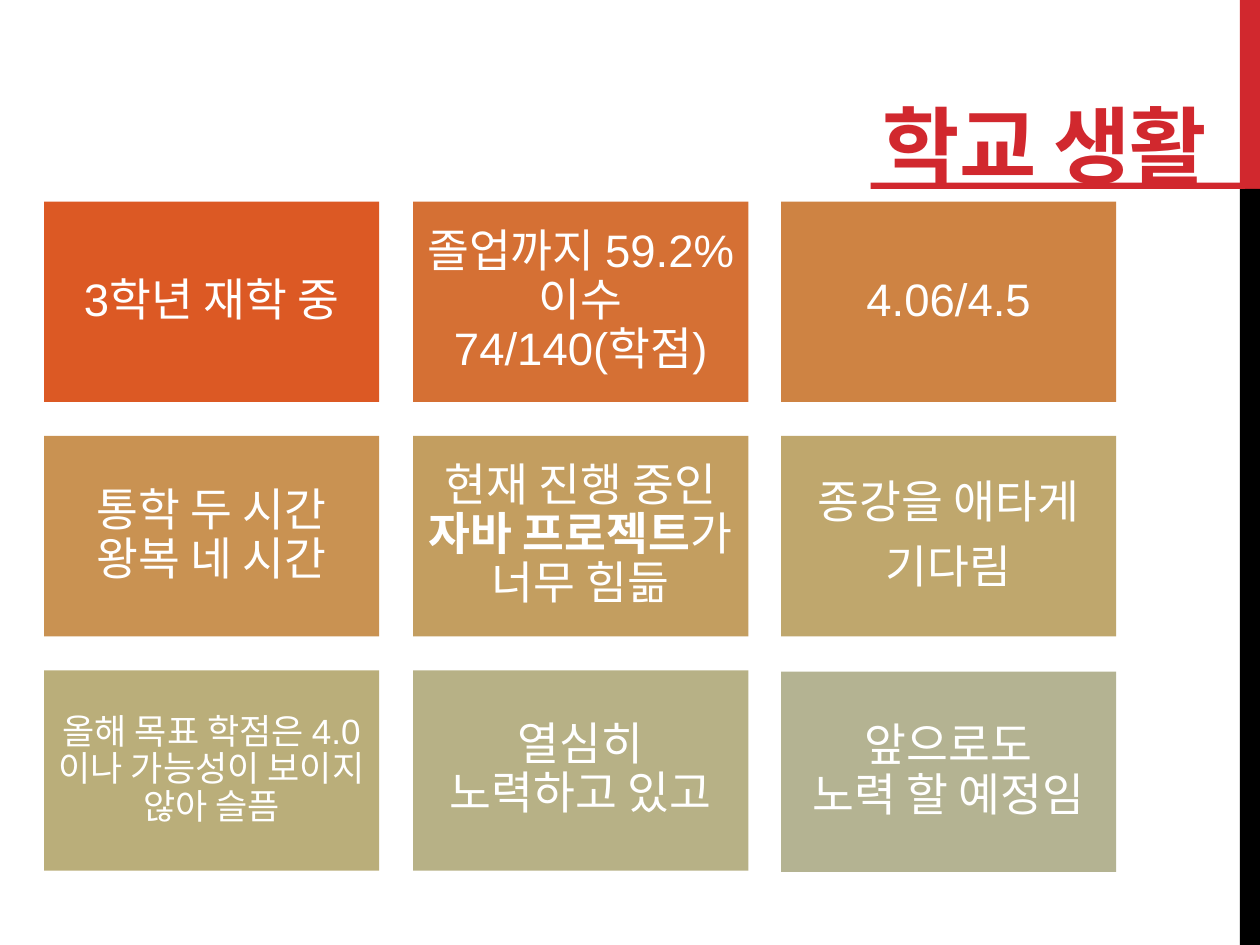
from dataclasses import dataclass

from pptx import Presentation
from pptx import util as u
from pptx.dml.color import RGBColor
from pptx.enum import shapes, text

SCALE = 9144


@dataclass(frozen=True)
class Theme:
    accent: str = "D1282E"
    dark: str = "000000"
    light: str = "FFFFFF"
    tiles: tuple = ("DC5924", "D57034", "CE8343", "C99252", "C39E60",
                    "BFA76D", "BAAE7A", "B7B186", "B4B392")
    title_font: str = "Montserrat"
    body_font: str = "Arial"
    title_size: int = 48
    body_size: int = 26
    small_size: int = 20


def px(length):
    return u.Emu(length * SCALE)


def apply(target, formats):
    for name, value in formats.items():
        setattr(target, name, value)


class SlideWriter:
    def __init__(self, page, theme):
        self.page = page
        self.theme = theme

    def bar(self, left, top, width, height, color):
        box = self.page.shapes.add_shape(
            shapes.MSO_SHAPE.RECTANGLE, px(left), px(top), px(width), px(height))
        box.shadow.inherit = False
        box.fill.solid()
        box.fill.fore_color.rgb = RGBColor.from_string(color)
        box.line.fill.background()
        return box

    def span(self, para, words, font, size, color, bold):
        span = para.add_run()
        span.text = words
        apply(span.font, {"name": font, "size": u.Pt(size), "bold": bold})
        span.font.color.rgb = RGBColor.from_string(color)
        return span

    def title(self, left, top, width, height, words):
        box = self.page.shapes.add_textbox(px(left), px(top), px(width), px(height))
        apply(box.text_frame, {"word_wrap": True,
                               "vertical_anchor": text.MSO_ANCHOR.BOTTOM})
        span = self.span(box.text_frame.paragraphs[0], words, self.theme.title_font,
                         self.theme.title_size, self.theme.accent, True)
        span.font._element.set("spc", "-60")

    def tile(self, left, top, width, height, color, paragraphs, size, inset):
        frame = self.bar(left, top, width, height, color).text_frame
        margins = {f"margin_{side}": px(inset)
                   for side in ("left", "top", "right", "bottom")}
        apply(frame, {"word_wrap": True,
                      "vertical_anchor": text.MSO_ANCHOR.MIDDLE, **margins})
        for index, spans in enumerate(paragraphs):
            para = frame.add_paragraph() if index else frame.paragraphs[0]
            apply(para, {"alignment": text.PP_ALIGN.CENTER, "line_spacing": 0.9,
                         "space_after": u.Pt(round(size * 0.35, 1))})
            for words, bold in spans:
                for number, line in enumerate(words.split("\n")):
                    if number:
                        para.add_line_break()
                    self.span(para, line, self.theme.body_font, size,
                              self.theme.light, bold)


def plain(*paragraphs):
    return [[(words, False)] for words in paragraphs]


def main():
    theme = Theme()
    deck = Presentation()
    apply(deck, {"slide_width": px(1000), "slide_height": px(750)})
    page = deck.slides.add_slide(deck.slide_layouts[6])
    writer = SlideWriter(page, theme)

    writer.bar(984, 0, 16, 150, theme.accent)
    writer.bar(984, 150, 16, 600, theme.dark)
    writer.title(691, 9, 633, 150, "학교 생활")
    writer.bar(691, 145, 297, 5, theme.accent)

    facts = [
        plain("3학년 재학 중"),
        plain("졸업까지 59.2% 이수\n74/140(학점)"),
        plain("4.06/4.5"),
        plain("통학 두 시간\n왕복 네 시간"),
        [[("현재 진행 중인 ", False), ("자바 프로젝트", True), ("가 너무 힘듦", False)]],
        plain("종강을 애타게", "기다림"),
        plain("올해 목표 학점은 4.0이나 가능성이 보이지 않아 슬픔"),
        plain("열심히\n노력하고 있고"),
        plain("앞으로도\n노력 할 예정임"),
    ]
    long_fact, last_fact = 6, 8
    columns = (35, 328, 620)
    for index, (color, fact) in enumerate(zip(theme.tiles, facts)):
        row, column = divmod(index, len(columns))
        top = 160 + 186 * row + (index == last_fact)
        size, inset = ((theme.small_size, 8) if index == long_fact
                       else (theme.body_size, 11))
        writer.tile(columns[column], top, 266, 159, color, fact, size, inset)

    deck.save("out.pptx")


if __name__ == "__main__":
    main()
